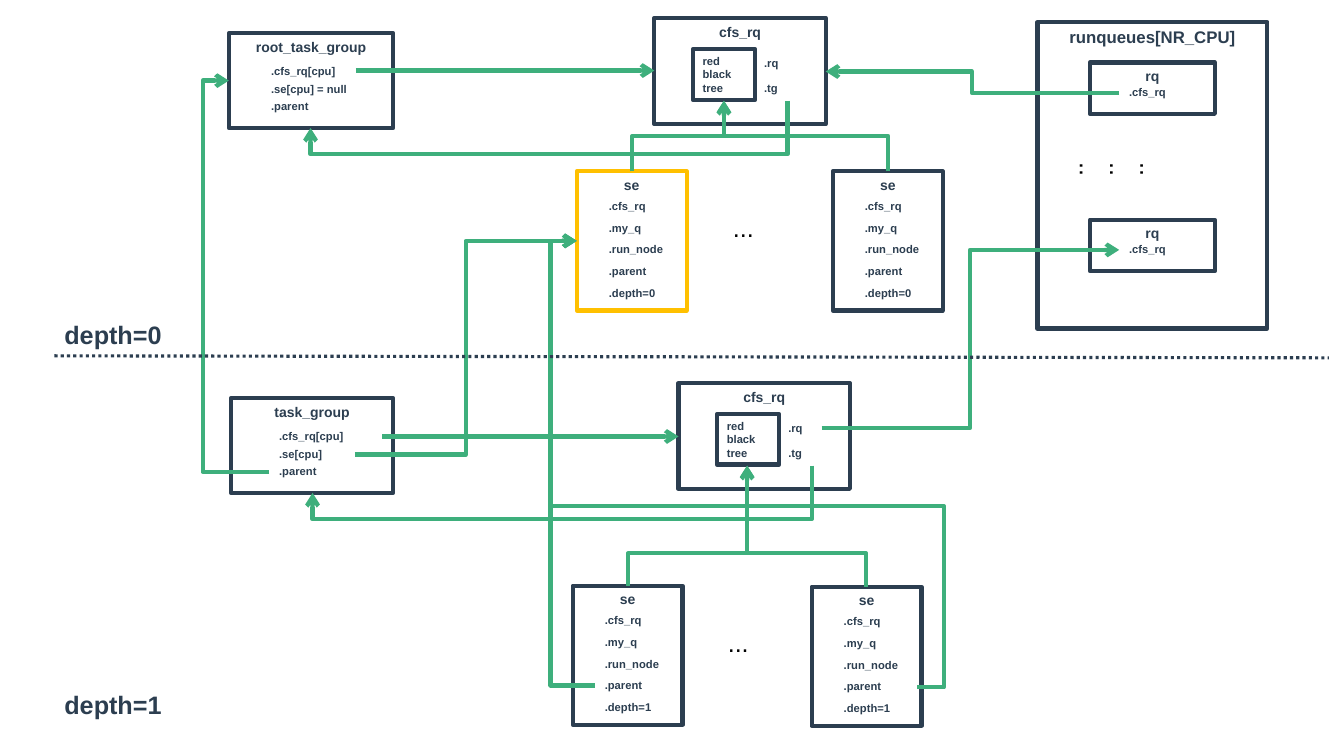
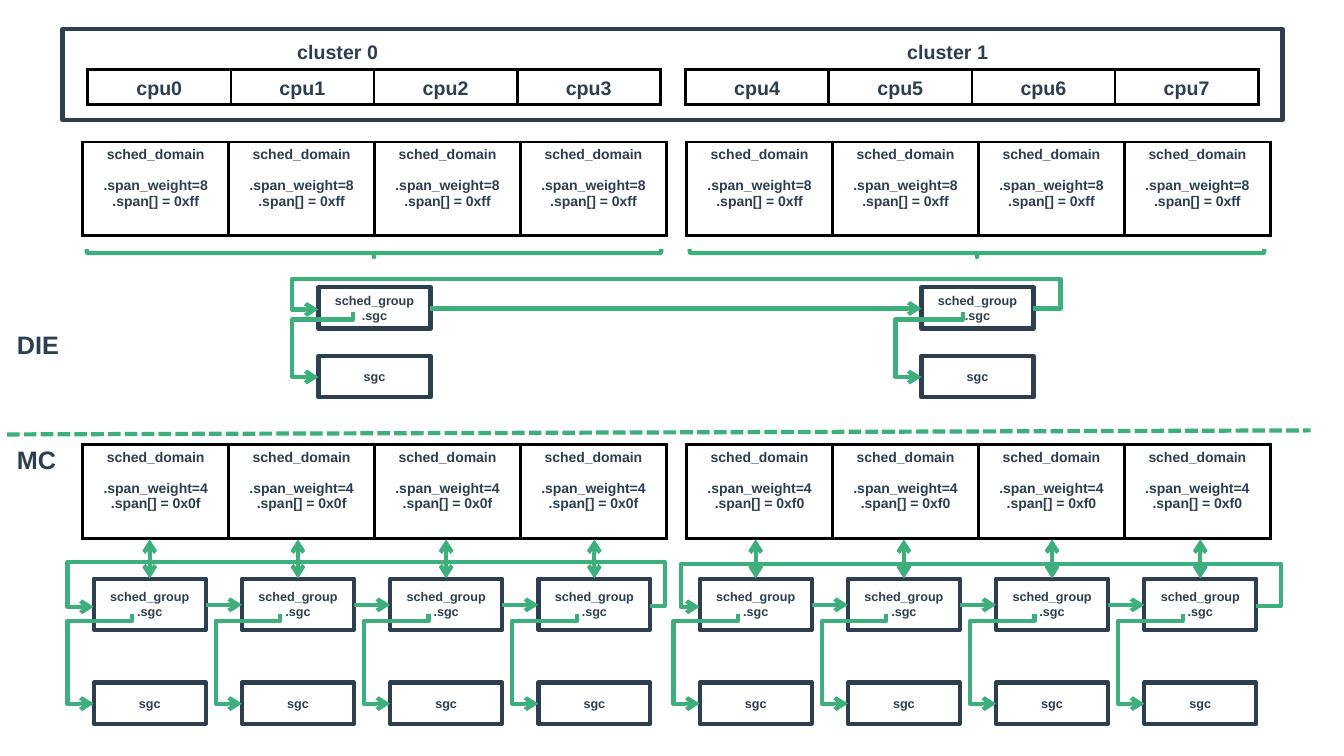
from dataclasses import dataclass

from lxml.etree import SubElement
from pptx import Presentation
from pptx.dml.color import RGBColor
from pptx.enum.dml import MSO_LINE
from pptx.enum.shapes import MSO_CONNECTOR, MSO_SHAPE
from pptx.enum.text import MSO_ANCHOR, PP_ALIGN
from pptx.oxml.ns import qn
from pptx.util import Inches, Pt

COLORS = {"ink": "2C3E50", "link": "3EAF7C", "highlight": "FFC000",
          "black": "000000", "white": "FFFFFF"}
FONT = "Arial"
LINE_WIDTH = 3
Point = tuple[float, float]


@dataclass
class Card:
    """A titled box whose fields are spread evenly over field_span."""
    left: float
    top: float
    width: float
    height: float
    title: str
    fields: list[str]
    field_left: float
    field_top: float
    field_span: float = 0
    title_size: int = 10
    border: str = "ink"


@dataclass
class Cluster:
    """One half of the CPU topology; loop is the right, top and left of the return path."""
    name: str
    first_cpu: int
    label_left: float
    cpu_left: float
    domain_left: float
    brace_left: float
    die_left: float
    die_hook: float
    group_left: float
    loop: tuple[float, float, float]
    mask: str


CLUSTERS = [
    Cluster("cluster 0", 0, 2.85, 0.87, 0.82, 3.67, 3.16, 0.34, 0.93, (6.6, 5.57, 0.67), "0x0f"),
    Cluster("cluster 1", 4, 8.9, 6.8, 6.81, 9.65, 9.14, 0.41, 6.94, (12.71, 5.59, 6.75), "0xf0"),
]
CPUS_PER_CLUSTER = 4
GROUP_PITCH = 1.47
GROUP_WIDTH = 1.11


def color(name: str) -> RGBColor:
    return RGBColor.from_string(COLORS[name])


def write(frame, lines: list[str], size: float, align=PP_ALIGN.LEFT,
          ink: str = "ink", bold: bool = True) -> None:
    for index, line in enumerate(lines):
        para = frame.paragraphs[0] if index == 0 else frame.add_paragraph()
        para.text = line
        para.alignment = align
        para.font.name = FONT
        para.font.size = Pt(size)
        para.font.bold = bold
        para.font.color.rgb = color(ink)


def add_text(page, left: float, top: float, width: float, height: float, text: str,
             size: float, ink: str = "ink", bold: bool = True):
    box = page.shapes.add_textbox(Inches(left), Inches(top), Inches(width), Inches(height))
    box.text_frame.word_wrap = True
    write(box.text_frame, [text], size, ink=ink, bold=bold)
    return box


def add_box(page, left: float, top: float, width: float, height: float, lines: list[str],
            size: float, border: str = "ink", anchor=MSO_ANCHOR.MIDDLE,
            align=PP_ALIGN.CENTER, shape=MSO_SHAPE.RECTANGLE):
    box = page.shapes.add_shape(shape, Inches(left), Inches(top), Inches(width), Inches(height))
    box.shadow.inherit = False
    box.fill.background()
    box.line.color.rgb = color(border)
    box.line.width = Pt(LINE_WIDTH)
    box.text_frame.vertical_anchor = anchor
    write(box.text_frame, lines, size, align)
    return box


def add_card(page, card: Card) -> None:
    add_box(page, card.left, card.top, card.width, card.height, [card.title],
            card.title_size, card.border, MSO_ANCHOR.TOP)
    pitch = card.field_span / max(len(card.fields) - 1, 1)
    for index, field in enumerate(card.fields):
        add_text(page, card.left + card.field_left,
                 card.top + card.field_top + index * pitch, 1.2, 0.23, field, 8)


def style_line(connector, ink: str, width: float, dash=None, arrows: tuple[str, ...] = ()) -> None:
    connector.line.color.rgb = color(ink)
    connector.line.width = Pt(width)
    if dash is not None:
        connector.line.dash_style = dash
    line = connector.get_or_add_ln()
    for end in arrows:
        SubElement(line, qn(f"a:{end}"), type="arrow")
    SubElement(connector.element.spPr, qn("a:effectLst"))


def add_straight(page, start: Point, end: Point, ink: str = "link", width: float = LINE_WIDTH,
                 dash=None, arrows: tuple[str, ...] = ("tailEnd",)) -> None:
    ends = [Inches(value) for value in (*start, *end)]
    connector = page.shapes.add_connector(MSO_CONNECTOR.STRAIGHT, *ends)
    style_line(connector, ink, width, dash, arrows)


def add_elbow(page, *route: Point) -> None:
    """Draw an arrow through right-angled corners as one bent connector.

    A route that sets off vertically is laid out horizontally and then turned.
    """
    (x1, y1), (x2, y2) = start, end = route[0], route[-1]
    vertical = route[1][0] == x1
    turn = 0
    if vertical:
        turn = 1 if y2 > y1 else -1
        middle_x, middle_y = (x1 + x2) / 2, (y1 + y2) / 2
        half_run, half_rise = turn * (y2 - y1) / 2, -turn * (x2 - x1) / 2
        x1, x2 = middle_x - half_run, middle_x + half_run
        y1, y2 = middle_y - half_rise, middle_y + half_rise
    ends = [Inches(value) for value in (x1, y1, x2, y2)]
    connector = page.shapes.add_connector(MSO_CONNECTOR.ELBOW, *ends)
    properties = connector.element.spPr
    if turn:
        properties.find(qn("a:xfrm")).set("rot", str(turn % 4 * 90 * 60000))
    geometry = properties.find(qn("a:prstGeom"))
    geometry.set("prst", f"bentConnector{len(route) - 1}")
    guides = geometry.find(qn("a:avLst"))
    if guides is None:
        guides = SubElement(geometry, qn("a:avLst"))
    for number, corner in enumerate(route[1:-2], 1):
        axis = (number - 1 + vertical) % 2
        share = (corner[axis] - start[axis]) / (end[axis] - start[axis])
        SubElement(guides, qn("a:gd"), name=f"adj{number}", fmla=f"val {round(share * 100000)}")
    style_line(connector, "link", LINE_WIDTH, arrows=("tailEnd",))


def add_row_table(page, left: float, top: float, width: float, height: float,
                  cells: list[list[str]], size: float, anchor=MSO_ANCHOR.TOP) -> None:
    table = page.shapes.add_table(1, len(cells), Inches(left), Inches(top),
                                  Inches(width), Inches(height)).table
    table.first_row = table.horz_banding = False
    for cell, lines in zip(table.rows[0].cells, cells):
        cell.vertical_anchor = anchor
        write(cell.text_frame, lines, size, PP_ALIGN.CENTER)
        if len(lines) > 1:
            cell.text_frame.paragraphs[1].space_before = Pt(11)
        properties = cell._tc.get_or_add_tcPr()
        for side in ("lnL", "lnR", "lnT", "lnB"):
            border = SubElement(properties, qn(f"a:{side}"), w=str(Pt(2.25)))
            fill = SubElement(border, qn("a:solidFill"))
            SubElement(fill, qn("a:srgbClr"), val=COLORS["black"])
        cell.fill.background()


def add_run_queue(page, left: float, top: float) -> None:
    add_card(page, Card(left, top, 1.7, 1.05, "cfs_rq", [".rq", ".tg"], 0.99, 0.33, 0.25))
    tree = add_box(page, left + 0.38, top + 0.31, 0.62, 0.5, ["red", "black", "tree"], 8,
                   anchor=MSO_ANCHOR.TOP, align=PP_ALIGN.LEFT)
    tree.fill.solid()
    tree.fill.fore_color.rgb = color("white")


def add_entity(page, left: float, top: float, depth: int, border: str = "ink") -> None:
    fields = [".cfs_rq", ".my_q", ".run_node", ".parent", f".depth={depth}"]
    add_card(page, Card(left, top, 1.09, 1.38, "se", fields, 0.22, 0.23, 0.86, border=border))


def build_task_groups(page) -> None:
    add_card(page, Card(2.29, 3.95, 1.61, 0.94, "task_group",
                        [".cfs_rq[cpu]", ".se[cpu]", ".parent"], 0.38, 0.26, 0.35))
    add_card(page, Card(2.27, 0.33, 1.63, 0.94, "root_task_group",
                        [".cfs_rq[cpu]", ".se[cpu] = null", ".parent"], 0.32, 0.26, 0.35))
    add_card(page, Card(10.29, 0.22, 2.28, 3.04, "runqueues[NR_CPU]", [], 0, 0, title_size=12))
    for top in (0.62, 2.18):
        add_card(page, Card(10.81, top, 1.24, 0.51, "rq", [".cfs_rq"], 0.29, 0.18))
    dots = add_text(page, 10.8, 1.51, 0.81, 0.39, "......", 18, "black", False)
    dots.text_frame._txBody.bodyPr.set("vert", "eaVert")

    add_run_queue(page, 6.49, 0.18)
    add_run_queue(page, 6.73, 3.8)
    add_entity(page, 8.26, 1.7, 0)
    add_entity(page, 5.72, 1.7, 0, "highlight")
    add_entity(page, 5.68, 5.81, 1)
    add_entity(page, 8.05, 5.82, 1)
    for left, top in ((7.17, 2.06), (7.12, 6.17)):
        add_text(page, left, top, 0.44, 0.4, "...", 18, "black", False)

    routes = [
        [(2.67, 4.68), (2.01, 4.68), (2.01, 0.8), (2.27, 0.8)],
        [(5.9, 6.8), (5.46, 6.8), (5.46, 2.39), (5.72, 2.39)],
        [(11.1, 0.92), (9.64, 0.92), (9.64, 0.71), (8.19, 0.71)],
        [(7.81, 1), (7.81, 1.53), (3.08, 1.53), (3.08, 1.27)],
        [(8.05, 4.62), (8.05, 5.15), (3.1, 5.15), (3.1, 4.89)],
        [(9.1, 6.82), (9.36, 6.82), (9.36, 5.02), (5.46, 5.02), (5.46, 2.39), (5.72, 2.39)],
        [(3.52, 4.51), (4.62, 4.51), (4.62, 2.39), (5.72, 2.39)],
        [(6.27, 1.7), (6.27, 1.35), (7.18, 1.35), (7.18, 1)],
        [(8.81, 1.7), (8.81, 1.35), (7.18, 1.35), (7.18, 1)],
        [(6.23, 5.81), (6.23, 5.49), (7.41, 5.49), (7.41, 4.62)],
        [(8.59, 5.82), (8.59, 5.49), (7.41, 5.49), (7.41, 4.62)],
        [(8.15, 4.25), (9.62, 4.25), (9.62, 2.48), (11.1, 2.48)],
    ]
    for route in routes:
        add_elbow(page, *route)
    add_straight(page, (3.79, 4.33), (6.73, 4.33))
    add_straight(page, (3.53, 0.7), (6.49, 0.7))
    add_straight(page, (0.54, 3.53), (13.18, 3.55), "ink", 2.25, MSO_LINE.ROUND_DOT, ())
    for depth, top in enumerate((3.12, 6.79)):
        add_text(page, 0.54, top, 1.41, 0.4, f"depth={depth}", 18)


def add_group(page, left: float, top: float, height: float, hook: float, sgc_top: float) -> None:
    """Draw a sched_group, the sgc below it and the arrow that joins them."""
    add_box(page, left, top, GROUP_WIDTH, height, ["sched_group", ".sgc"], 9)
    add_box(page, left, sgc_top, GROUP_WIDTH, 0.41, ["sgc"], 9)
    start, bend, end = top + height - 0.16, top + height - 0.09, sgc_top + 0.21
    add_elbow(page, (left + hook, start), (left + hook, bend), (left - 0.26, bend),
              (left - 0.26, end), (left, end))


def add_return_loop(page, start_x: float, end_x: float, y: float,
                    loop: tuple[float, float, float]) -> None:
    right, top, left = loop
    add_elbow(page, (start_x, y), (right, y), (right, top), (left, top),
              (left, y + 0.01), (end_x, y + 0.01))


def add_cluster(page, cluster: Cluster) -> None:
    add_text(page, cluster.label_left, 0.35, 1.6, 0.34, cluster.name, 14)
    cpus = [[f"cpu{cluster.first_cpu + index}"] for index in range(CPUS_PER_CLUSTER)]
    add_row_table(page, cluster.cpu_left, 0.69, 5.68, 0.35, cpus, 14, MSO_ANCHOR.BOTTOM)
    for top, weight, mask in ((1.41, 8, "0xff"), (4.41, 4, cluster.mask)):
        domain = ["sched_domain", f".span_weight={weight}", f".span[] = {mask}"]
        add_row_table(page, cluster.domain_left, top, 5.79, 0.93,
                      [domain] * CPUS_PER_CLUSTER, 10)
    brace = add_box(page, cluster.brace_left, -0.34, 0.08, 5.7, [], 9, "link",
                    shape=MSO_SHAPE.LEFT_BRACE)
    brace.rotation = 270
    add_group(page, cluster.die_left, 2.85, 0.41, cluster.die_hook, 3.53)

    lefts = [cluster.group_left + index * GROUP_PITCH for index in range(CPUS_PER_CLUSTER)]
    for left in lefts:
        add_group(page, left, 5.74, 0.51, 0.38, 6.77)
        center = left + GROUP_WIDTH / 2
        add_straight(page, (center, 5.35), (center, 5.74), arrows=("headEnd", "tailEnd"))
    for left, following in zip(lefts, lefts[1:]):
        add_straight(page, (left + GROUP_WIDTH, 6), (following, 6))
    add_return_loop(page, lefts[-1] + GROUP_WIDTH, lefts[0], 6.01, cluster.loop)


def build_domains(page) -> None:
    add_box(page, 0.62, 0.29, 12.1, 0.9, [], 14)
    add_straight(page, (0.07, 4.31), (13, 4.27), dash=MSO_LINE.SQUARE_DOT, arrows=())
    for cluster in CLUSTERS:
        add_cluster(page, cluster)
    first, last = (cluster.die_left for cluster in CLUSTERS)
    add_straight(page, (first + GROUP_WIDTH, 3.06), (last, 3.06))
    add_return_loop(page, last + GROUP_WIDTH, first, 3.06, (10.52, 2.76, 2.9))
    for top, level in ((3.22, "DIE"), (4.36, "MC")):
        add_text(page, 0.07, top, 0.8, 0.4, level, 18)


def main() -> None:
    deck = Presentation()
    deck.slide_width, deck.slide_height = Inches(13.33), Inches(7.5)
    for build in (build_task_groups, build_domains):
        build(deck.slides.add_slide(deck.slide_layouts[6]))
    deck.save("out.pptx")


if __name__ == "__main__":
    main()
